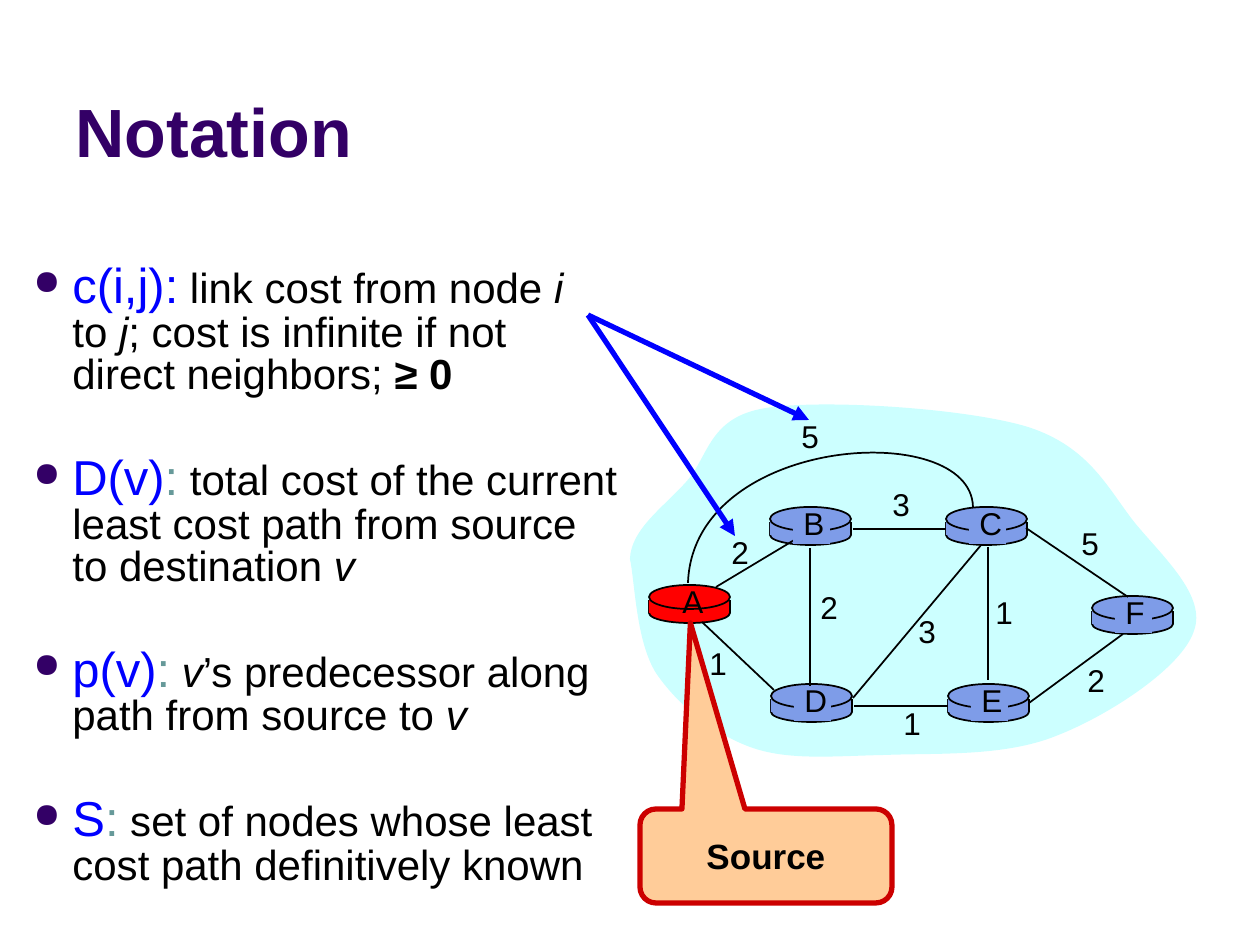
from dataclasses import dataclass

from lxml import etree
from pptx import Presentation, util as u
from pptx.dml.color import RGBColor
from pptx.enum import shapes, text
from pptx.oxml import ns

PX = 914400 / 126


@dataclass(frozen=True)
class Theme:
    """Colours, font and type sizes."""
    font: str = "Arial"
    title: str = "330066"
    term: str = "0000FF"
    colon: str = "669999"
    ink: str = "000000"
    cloud: str = "CCFFFF"
    router: str = "7E9CE8"
    source: str = "FF0000"
    callout: str = "FFCC99"
    border: str = "CC0000"
    title_size: int = 39
    term_size: int = 28
    body_size: int = 24
    source_size: int = 20
    label_size: int = 18


def px(value):
    """Convert pixels to EMU."""
    return u.Emu(round(value * PX))


def child(parent, tag, **attributes):
    """Append a DrawingML element."""
    return etree.SubElement(parent, ns.qn("a:" + tag), attributes)


class Canvas:
    """Draws styled elements on one slide."""

    def __init__(self, slide, theme):
        """Keep the slide and its theme."""
        self.slide, self.theme = slide, theme

    def run(self, paragraph, content, size, color, bold=False, italic=False):
        """Add one styled run."""
        run = paragraph.add_run()
        run.text = content
        font = run.font
        font.name, font.size, font.bold, font.italic = self.theme.font, u.Pt(size), bold, italic
        font.color.rgb = RGBColor.from_string(color)

    def textbox(self, x, y, width, height, wrap=True, anchor=text.MSO_ANCHOR.TOP):
        """Add an empty text box and return its frame."""
        frame = self.slide.shapes.add_textbox(px(x), px(y), px(width), px(height)).text_frame
        frame.word_wrap, frame.vertical_anchor = wrap, anchor
        return frame

    def label(self, content, x, y):
        """Add a short label centred on x."""
        paragraph = self.textbox(x - 21, y, 42, 50, wrap=False).paragraphs[0]
        paragraph.alignment = text.PP_ALIGN.CENTER
        self.run(paragraph, content, self.theme.label_size, self.theme.ink)

    def bullet(self, paragraph, gap):
        """Give a paragraph its bullet and spacing."""
        paragraph.line_spacing, paragraph.space_before = 0.84, u.Pt(gap)
        properties = paragraph._p.get_or_add_pPr()
        properties.set("marL", str(px(39)))
        properties.set("indent", str(-px(39)))
        child(child(properties, "buClr"), "srgbClr", val=self.theme.title)
        child(properties, "buSzPct", val="70000")
        child(properties, "buChar", char="●")

    def paint(self, shape, fill=None, line=None, weight=1):
        """Set fill and outline and remove the shadow."""
        shape.shadow.inherit = False
        if fill:
            shape.fill.solid()
            shape.fill.fore_color.rgb = RGBColor.from_string(fill)
        else:
            shape.fill.background()
        if line:
            shape.line.color.rgb = RGBColor.from_string(line)
            shape.line.width = u.Pt(weight)
        else:
            shape.line.fill.background()
        return shape

    def shape(self, kind, x, y, width, height, **style):
        """Add a preset shape."""
        shape = self.slide.shapes.add_shape(kind, px(x), px(y), px(width), px(height))
        return self.paint(shape, **style)

    def line(self, x1, y1, x2, y2, color=None, weight=1, arrow=False):
        """Add a straight line or arrow."""
        line = self.slide.shapes.add_connector(
            shapes.MSO_CONNECTOR.STRAIGHT, px(x1), px(y1), px(x2), px(y2))
        line.line.color.rgb = RGBColor.from_string(color or self.theme.ink)
        line.line.width = u.Pt(weight)
        if arrow:
            child(line.line._get_or_add_ln(), "tailEnd", type="triangle")
        child(line._element.spPr, "effectLst")

    def curve(self, points, close=False, **style):
        """Add a cubic curve through every third point."""
        builder = self.slide.shapes.build_freeform(*points[0], scale=PX)
        builder.add_line_segments(points[1:], close=close)
        shape = builder.convert_to_shape()
        segments = list(shape._element.iter(ns.qn("a:lnTo")))
        for first in range(0, len(points) - 1, 3):
            trio = segments[first:first + 3]
            cubic = etree.Element(ns.qn("a:cubicBezTo"))
            trio[0].addprevious(cubic)
            for segment in trio:
                cubic.append(segment[0])
                segment.getparent().remove(segment)
        self.paint(shape, **style)

    def router(self, x, y, color):
        """Draw a disc-shaped router."""
        oval, ink = shapes.MSO_SHAPE.OVAL, self.theme.ink
        self.shape(oval, x, y + 18, 81, 20, fill=color, line=ink)
        for side in (x, x + 81):
            self.line(side, y + 15, side, y + 28)
        self.shape(shapes.MSO_SHAPE.RECTANGLE, x, y + 15, 80, 13, fill=color)
        self.shape(oval, x, y, 81, 24, fill=color, line=ink)

    def callout(self, content, x, y, width, height, adjustments):
        """Add a callout with bold centred text."""
        theme = self.theme
        shape = self.shape(shapes.MSO_SHAPE.ROUNDED_RECTANGULAR_CALLOUT, x, y, width, height,
                           fill=theme.callout, line=theme.border, weight=3)
        for index, value in enumerate(adjustments):
            shape.adjustments[index] = value
        frame = shape.text_frame
        frame.word_wrap, frame.vertical_anchor = False, text.MSO_ANCHOR.MIDDLE
        frame.paragraphs[0].alignment = text.PP_ALIGN.CENTER
        self.run(frame.paragraphs[0], content, theme.source_size, theme.ink, bold=True)


PLAIN, ITALIC, BOLD = {}, {"italic": True}, {"bold": True}
DEFINITIONS = [
    ("c(i,j)", "term", [(" link cost from node ", PLAIN), ("i", ITALIC), "break", ("to ", PLAIN),
                        ("j", ITALIC), ("; cost is infinite if not direct neighbors; ", PLAIN),
                        ("≥ 0", BOLD)]),
    ("D(v)", "colon", [(" total cost of the current least cost path from source to destination ",
                        PLAIN), ("v", ITALIC)]),
    ("p(v)", "colon", [(" ", PLAIN), ("v", ITALIC),
                       ("’s predecessor along path from source to ", PLAIN), ("v", ITALIC)]),
    ("S", "colon", [(" set of nodes whose least cost path definitively known", PLAIN)]),
]
CLOUD = [(630, 559), (631, 529), (664, 507), (687, 481), (709, 456), (709, 417), (766, 408),
         (823, 399), (966, 408), (1028, 427), (1090, 447), (1108, 489), (1135, 523),
         (1163, 557), (1207, 596), (1194, 631), (1182, 668), (1108, 716), (1056, 736),
         (1004, 757), (936, 753), (885, 755), (834, 756), (788, 761), (750, 747),
         (712, 733), (677, 704), (656, 673), (636, 641), (635, 582), (630, 559)]
ARC = [(973, 507), (971, 418), (693, 435), (688, 583)]
ROUTERS = {"A": (649, 585), "B": (770, 507), "C": (946, 507),
           "D": (771, 684), "E": (948, 684), "F": (1092, 596)}
LINKS = [(716, 587, 796, 539), (988, 547, 988, 680), (810, 548, 810, 686), (853, 698, 982, 544),
         (1029, 703, 1123, 634), (854, 706, 948, 706), (702, 622, 774, 690),
         (853, 529, 946, 529), (1026, 528, 1128, 597)]
WEIGHTS = [("2", 740, 527), ("2", 829, 582), ("1", 718, 638), ("3", 927, 606), ("1", 912, 698),
           ("1", 1004, 587), ("2", 1096, 655), ("5", 1090, 518), ("3", 901, 479), ("5", 810, 411)]

presentation = Presentation()
presentation.slide_width, presentation.slide_height = u.Inches(10), u.Inches(7.5)
theme = Theme()
canvas = Canvas(presentation.slides.add_slide(presentation.slide_layouts[6]), theme)

title = canvas.textbox(63, 16, 1134, 161, anchor=text.MSO_ANCHOR.BOTTOM)
canvas.run(title.paragraphs[0], "Notation", theme.title_size, theme.title, bold=True)

body = canvas.textbox(21, 258, 609, 640)
for index, (term, colon, pieces) in enumerate(DEFINITIONS):
    paragraph = body.add_paragraph() if index else body.paragraphs[0]
    canvas.bullet(paragraph, 33 if index else 0)
    canvas.run(paragraph, term, theme.term_size, theme.term)
    canvas.run(paragraph, ":", theme.term_size, getattr(theme, colon))
    for piece in pieces:
        if piece == "break":
            paragraph.add_line_break()
        else:
            canvas.run(paragraph, piece[0], theme.body_size, theme.ink, **piece[1])

canvas.curve(CLOUD, close=True, fill=theme.cloud)
for name, (x, y) in ROUTERS.items():
    canvas.router(x, y, theme.source if name == "A" else theme.router)
for link in LINKS:
    canvas.line(*link)
canvas.curve(ARC, line=theme.ink)
for name, (x, y) in ROUTERS.items():
    if name != "A":
        canvas.shape(shapes.MSO_SHAPE.RECTANGLE, x + 23, y + 3, 37, 34, fill=theme.router)
    canvas.label(name, x + 42, y - 9)
for weight in WEIGHTS:
    canvas.label(*weight)

for tip in ((809, 420), (735, 536)):
    canvas.line(588, 315, *tip, color=theme.term, weight=3, arrow=True)
canvas.callout("Source", 640, 809, 252, 94, (-0.3, -2.48, 0.17))
presentation.save("out.pptx")
